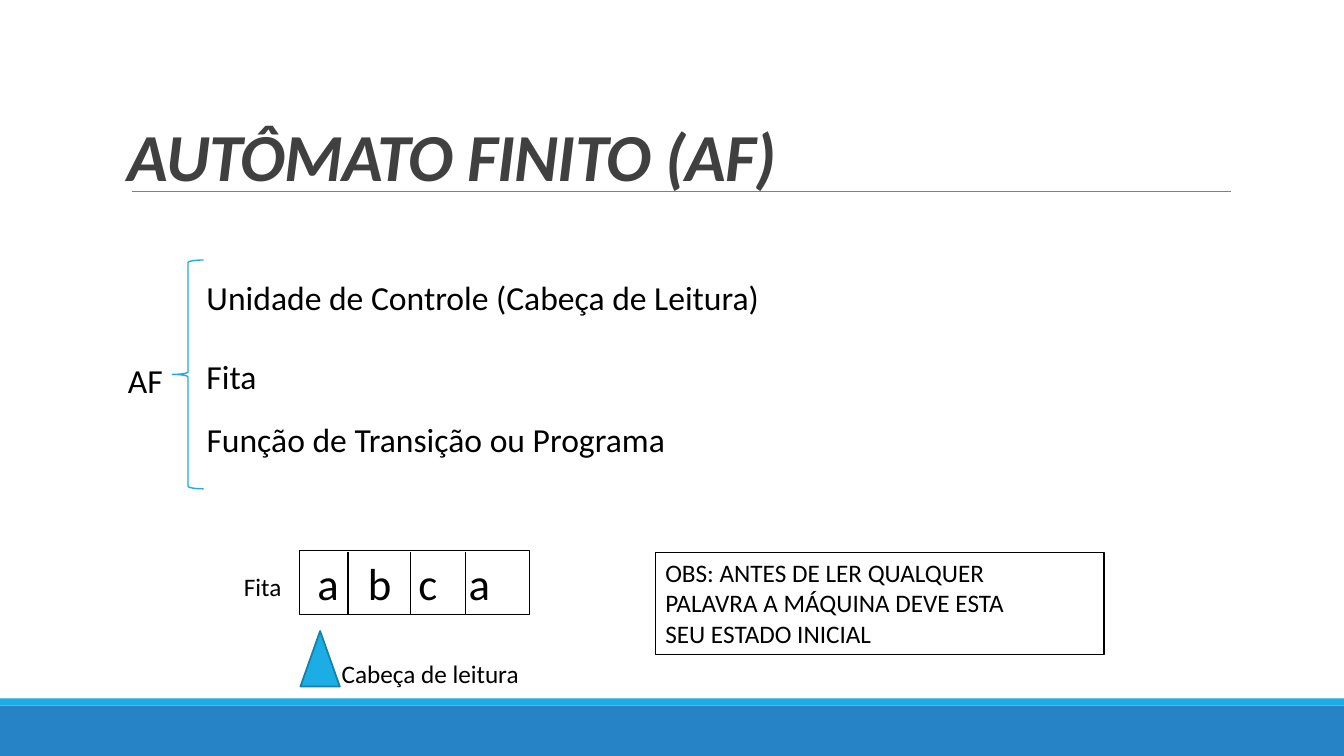
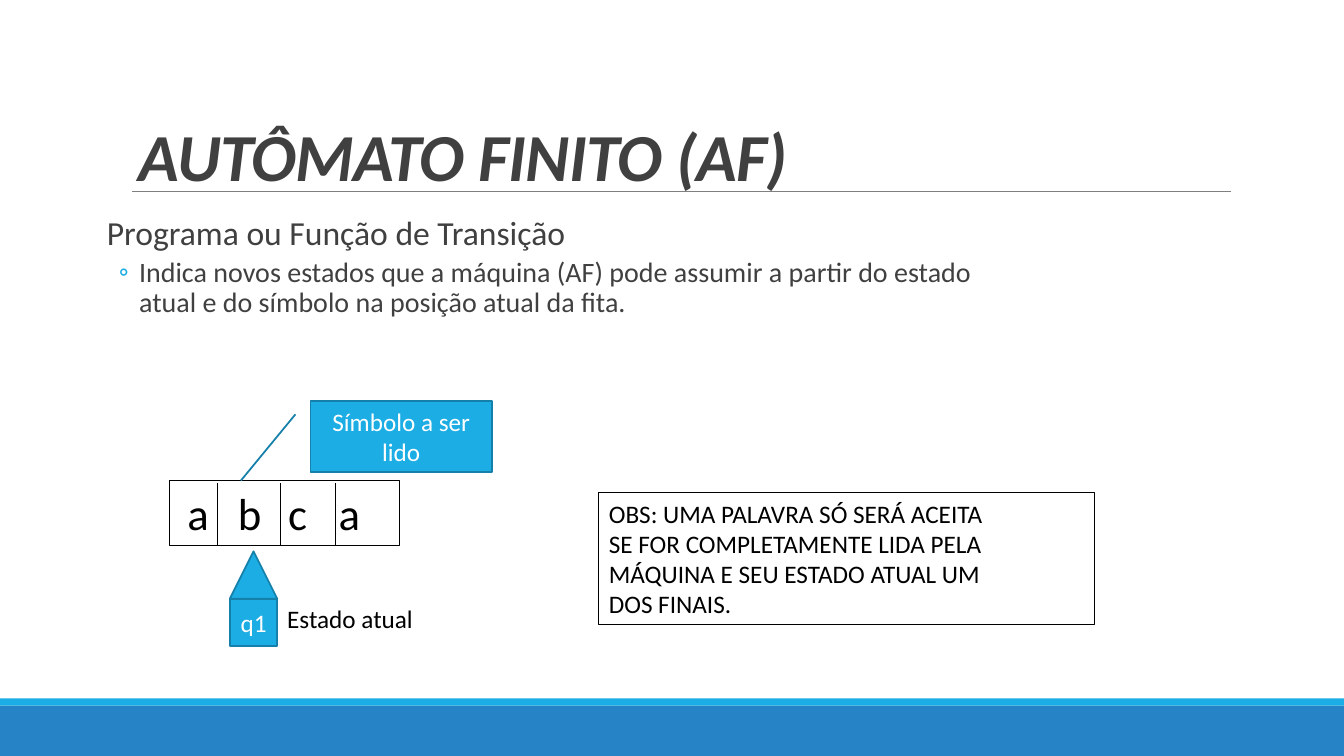
from dataclasses import dataclass
from typing import Optional

from lxml import etree
from pptx import Presentation
from pptx.dml.color import RGBColor
from pptx.enum.shapes import MSO_CONNECTOR, MSO_SHAPE
from pptx.enum.text import MSO_ANCHOR, PP_ALIGN
from pptx.oxml.ns import qn
from pptx.util import Emu, Pt

PX = 9144  # 100 px to the inch
SLIDE_W, SLIDE_H = 1333, 750

RECT, TRIANGLE = MSO_SHAPE.RECTANGLE, MSO_SHAPE.ISOSCELES_TRIANGLE
BRACE, CALLOUT = MSO_SHAPE.LEFT_BRACE, MSO_SHAPE.LINE_CALLOUT_1
STRAIGHT = MSO_CONNECTOR.STRAIGHT
TOP, MIDDLE, BOTTOM = MSO_ANCHOR.TOP, MSO_ANCHOR.MIDDLE, MSO_ANCHOR.BOTTOM
LEFT, CENTER = PP_ALIGN.LEFT, PP_ALIGN.CENTER

FONT = "Calibri"
BLACK = RGBColor(0x00, 0x00, 0x00)
WHITE = RGBColor(0xFF, 0xFF, 0xFF)
CHARCOAL = RGBColor(0x40, 0x40, 0x40)
GRAY = RGBColor(0x80, 0x80, 0x80)
SKY = RGBColor(0x1C, 0xAD, 0xE4)
SKY_EDGE = RGBColor(0x15, 0x80, 0xA9)
BLUE = RGBColor(0x26, 0x83, 0xC6)

TAPE_W, TAPE_H = 228, 64
TAPE_SYMBOLS = "abca"
TAPE_DIVIDERS = (48, 110, 165)
TAPE_INDENT = 8
TAPE_TABS = (60, 123, 172)


@dataclass(frozen=True)
class Box:
    left: int
    top: int
    width: int
    height: int

    def emu(self) -> tuple:
        return tuple(Emu(v * PX) for v in
                     (self.left, self.top, self.width, self.height))


@dataclass(frozen=True)
class Look:
    fill: Optional[RGBColor] = None
    line: Optional[RGBColor] = None
    weight: float = 0.75


@dataclass(frozen=True)
class Label:
    box: Box
    text: str
    size: int


FRAMED = Look(line=BLACK)
SOLID = Look(SKY, SKY_EDGE, 1.25)


# Basic parts
def add_run(paragraph, text: str, size: int, color: RGBColor):
    run = paragraph.add_run()
    run.text = text
    run.font.name, run.font.size = FONT, Pt(size)
    run.font.color.rgb = color
    return run


def write_lines(shape, lines: tuple, size: int, color: RGBColor = BLACK,
                align=LEFT, anchor=TOP) -> None:
    frame = shape.text_frame
    frame.word_wrap, frame.vertical_anchor = True, anchor
    for i, line in enumerate(lines):
        paragraph = frame.add_paragraph() if i else frame.paragraphs[0]
        paragraph.alignment = align
        add_run(paragraph, line, size, color)


def add_figure(slide, kind, box: Box, look: Look):
    shape = slide.shapes.add_shape(kind, *box.emu())
    shape.shadow.inherit = False
    if look.fill is None:
        shape.fill.background()
    else:
        shape.fill.solid()
        shape.fill.fore_color.rgb = look.fill
    if look.line is None:
        shape.line.fill.background()
    else:
        shape.line.color.rgb, shape.line.width = look.line, Pt(look.weight)
    return shape


def add_line(slide, x1: int, y1: int, x2: int, y2: int,
             color: RGBColor, weight: float) -> None:
    line = slide.shapes.add_connector(
        STRAIGHT, *(Emu(v * PX) for v in (x1, y1, x2, y2)))
    line.line.color.rgb, line.line.width = color, Pt(weight)
    etree.SubElement(line._element.spPr, qn("a:effectLst"))


def add_label(slide, label: Label) -> None:
    shape = slide.shapes.add_textbox(*label.box.emu())
    write_lines(shape, (label.text,), label.size)
    shape.text_frame.word_wrap = False


def set_indent(paragraph, margin: int, indent: int):
    props = paragraph._p.get_or_add_pPr()
    props.set("marL", str(margin * PX))
    props.set("indent", str(indent * PX))
    return props


# Parts shared by the slides
def start_slide(prs, title: str, title_left: int):
    slide = prs.slides.add_slide(prs.slide_layouts[6])
    add_figure(slide, RECT, Box(0, 700, SLIDE_W, 50), Look(BLUE))
    add_figure(slide, RECT, Box(0, 693, SLIDE_W, 7), Look(SKY))
    add_line(slide, 131, 190, 1221, 190, GRAY, 0.5)
    heading = slide.shapes.add_textbox(*Box(title_left, 82, 900, 117).emu())
    frame = heading.text_frame
    frame.word_wrap, frame.vertical_anchor = True, BOTTOM
    frame.paragraphs[0].line_spacing = 0.85
    run = add_run(frame.paragraphs[0], title, 48, CHARCOAL)
    run.font.bold = run.font.italic = True
    run.font._element.set("spc", "-50")
    return slide


def add_tape(slide, left: int, top: int) -> None:
    tape = add_figure(slide, RECT, Box(left, top, TAPE_W, TAPE_H), FRAMED)
    write_lines(tape, ("\t".join(TAPE_SYMBOLS),), 32)
    props = set_indent(tape.text_frame.paragraphs[0], TAPE_INDENT, 0)
    stops = etree.SubElement(props, qn("a:tabLst"))
    for position in TAPE_TABS:
        etree.SubElement(stops, qn("a:tab"), pos=str(position * PX), algn="l")
    for offset in TAPE_DIVIDERS:
        x = left + offset
        add_line(slide, x, top + 2, x, top + TAPE_H, BLACK, 1)


def add_note(slide, box: Box, lines: tuple) -> None:
    write_lines(add_figure(slide, RECT, box, FRAMED), lines, 18)


# Slide 1: components of the automaton
def build_components(prs) -> None:
    slide = start_slide(prs, "AUTÔMATO FINITO (AF)", 117)
    add_figure(slide, BRACE, Box(171, 258, 31, 227), Look(line=SKY, weight=1))
    labels = (
        Label(Box(117, 352, 55, 50), "AF", 24),
        Label(Box(195, 270, 574, 50),
              "Unidade de Controle (Cabeça de Leitura)", 24),
        Label(Box(195, 348, 70, 50), "Fita", 24),
        Label(Box(195, 411, 479, 50), "Função de Transição ou Programa", 24),
        Label(Box(329, 648, 198, 40), "Cabeça de leitura", 18),
        Label(Box(232, 562, 58, 40), "Fita", 18),
    )
    for label in labels:
        add_label(slide, label)
    add_tape(slide, 297, 546)
    add_figure(slide, TRIANGLE, Box(298, 626, 39, 55), SOLID)
    add_note(slide, Box(650, 548, 445, 101), (
        "OBS: ANTES DE LER QUALQUER",
        "PALAVRA A MÁQUINA DEVE ESTA",
        "SEU ESTADO INICIAL"))


# Slide 2: transition function
def add_definition(slide) -> None:
    body = slide.shapes.add_textbox(*Box(96, 210, 900, 473).emu())
    frame = body.text_frame
    frame.word_wrap = True
    frame.margin_left = frame.margin_right = 0

    term = frame.paragraphs[0]
    term.line_spacing = 0.9
    term.space_before, term.space_after = Pt(12), Pt(2)
    set_indent(term, 10, 0)
    add_run(term, "Programa ou Função de Transição", 24, CHARCOAL)

    meaning = frame.add_paragraph()
    meaning.level, meaning.line_spacing = 1, 0.9
    meaning.space_before, meaning.space_after = Pt(2), Pt(4)
    props = set_indent(meaning, 42, -20)
    bullet_color = etree.SubElement(props, qn("a:buClr"))
    etree.SubElement(bullet_color, qn("a:srgbClr"), val=str(SKY))
    etree.SubElement(props, qn("a:buFont"), typeface=FONT)
    etree.SubElement(props, qn("a:buChar"), char="◦")
    add_run(meaning, "Indica novos estados que a máquina (AF) pode assumir a "
            "partir do estado atual e do símbolo na posição atual da fita.",
            20, CHARCOAL)


def build_transition(prs) -> None:
    slide = start_slide(prs, "AUTÔMATO FINITO (AF)", 128)
    add_definition(slide)
    add_tape(slide, 168, 477)
    state = add_figure(slide, RECT, Box(228, 594, 47, 47), SOLID)
    write_lines(state, ("q1",), 18, WHITE, CENTER, MIDDLE)
    add_figure(slide, TRIANGLE, Box(228, 547, 47, 47), SOLID)
    add_label(slide, Label(Box(275, 594, 146, 40), "Estado atual", 18))
    symbol = add_figure(slide, CALLOUT, Box(308, 398, 180, 70), SOLID)
    write_lines(symbol, ("Símbolo a ser lido",), 18, WHITE, CENTER, MIDDLE)
    add_note(slide, Box(594, 489, 492, 131), (
        "OBS: UMA PALAVRA SÓ SERÁ ACEITA",
        "SE FOR COMPLETAMENTE LIDA PELA",
        "MÁQUINA E SEU ESTADO ATUAL UM",
        "DOS FINAIS."))


def main() -> None:
    prs = Presentation()
    prs.slide_width, prs.slide_height = Emu(SLIDE_W * PX), Emu(SLIDE_H * PX)
    build_components(prs)
    build_transition(prs)
    prs.save("out.pptx")


if __name__ == "__main__":
    main()
